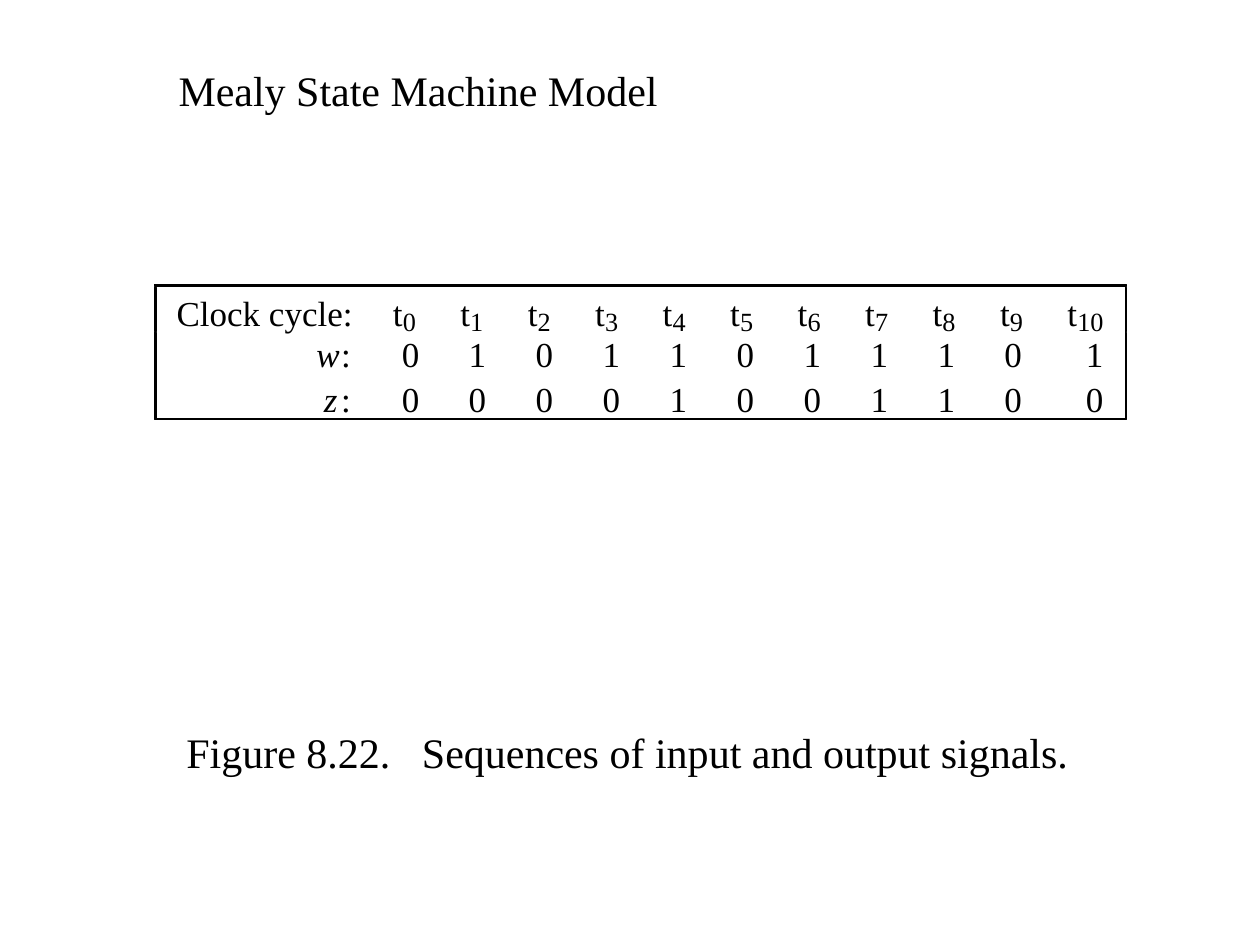
from pptx import Presentation
from pptx import util as u
from pptx.dml.color import RGBColor
from pptx.enum import shapes, text

BLACK = RGBColor(0, 0, 0)
FONT = "Times New Roman"
HEADING_SIZE, SYMBOL_SIZE, SUBSCRIPT_SIZE = 24, 20, 15

# Lengths in centimetres
RULE = 0.03
FRAME_LEFT, FRAME_RIGHT, FRAME_WIDTH = 3.12, 22.68, 19.58
FRAME_TOP, FRAME_BOTTOM = 5.74, 8.43
SIDE_SEGMENTS = [(5.79, 0.9), (6.71, 0.86), (7.54, 0.9)]
CLOCK_TOP, SUBSCRIPT_TOP = 5.87, 6.15
CLOCK_LEFT, SUBSCRIPT_LEFT, CLOCK_PITCH = 7.92, 8.12, 1.36
BIT_LEFT, BIT_PITCH, LAST_BIT_LEFT = 8.1, 1.35, 21.89
COLON_LEFT = 6.88
SYMBOL_HEIGHT, SUBSCRIPT_HEIGHT = 0.84, 0.64

# Signal name, its left, its width, row top, value in each clock cycle
SIGNALS = [
    ("w", 6.38, 0.66, 6.71, "01011011101"),
    ("z", 6.53, 0.46, 7.62, "00001001100"),
]


def add_run(paragraph, words, size, italic=False):
    run = paragraph.add_run()
    run.text = words
    run.font.name = FONT
    run.font.size = u.Pt(size)
    run.font.italic = italic
    run.font.color.rgb = BLACK
    return run


def add_heading(slide, left, top, width, height):
    frame = slide.shapes.add_textbox(
        u.Cm(left), u.Cm(top), u.Cm(width), u.Cm(height)).text_frame
    frame.word_wrap = True
    return frame


def add_label(slide, words, left, top, width, size=SYMBOL_SIZE,
              height=SYMBOL_HEIGHT, italic=False):
    frame = slide.shapes.add_textbox(
        u.Cm(left), u.Cm(top), u.Cm(width), u.Cm(height)).text_frame
    frame.margin_left = frame.margin_right = 0
    frame.margin_top = frame.margin_bottom = 0
    frame.word_wrap = False
    frame.auto_size = text.MSO_AUTO_SIZE.SHAPE_TO_FIT_TEXT
    add_run(frame.paragraphs[0], words, size, italic)


def add_rule(slide, left, top, width, height):
    rule = slide.shapes.add_shape(
        shapes.MSO_SHAPE.RECTANGLE,
        u.Cm(left), u.Cm(top), u.Cm(width), u.Cm(height))
    rule.shadow.inherit = False
    rule.fill.solid()
    rule.fill.fore_color.rgb = BLACK
    rule.line.color.rgb = BLACK
    rule.line.width = u.Pt(0.5)


def add_frame(slide):
    for top in (FRAME_TOP, FRAME_BOTTOM):
        add_rule(slide, FRAME_LEFT, top, FRAME_WIDTH, RULE)
    for left in (FRAME_LEFT, FRAME_RIGHT):
        for top, height in SIDE_SEGMENTS:
            add_rule(slide, left, top, RULE, height)


def add_clock_row(slide, cycles):
    add_label(slide, "Clock cycle:", 3.56, CLOCK_TOP, 3.73)
    for cycle in range(cycles):
        shift = cycle * CLOCK_PITCH
        index = str(cycle)
        add_label(slide, "t", CLOCK_LEFT + shift, CLOCK_TOP, 0.38)
        add_label(slide, index, SUBSCRIPT_LEFT + shift, SUBSCRIPT_TOP,
                  0.41 if len(index) == 1 else 0.53,
                  SUBSCRIPT_SIZE, SUBSCRIPT_HEIGHT)


def add_signal_row(slide, name, left, width, top, bits):
    add_label(slide, name, left, top, width, italic=True)
    add_label(slide, ":", COLON_LEFT, top, 0.38)
    for cycle, bit in enumerate(bits[:-1]):
        add_label(slide, bit, BIT_LEFT + cycle * BIT_PITCH, top, 0.53)
    # The last value lines up with the two-digit subscript
    add_label(slide, bits[-1], LAST_BIT_LEFT, top, 0.53)


def main():
    deck = Presentation()
    deck.slide_width, deck.slide_height = u.Cm(25.4), u.Cm(19.05)
    slide = deck.slides.add_slide(deck.slide_layouts[6])

    # Caption, with a widened space after the figure number
    caption = add_heading(slide, 1.14, 14.53, 23.01, 1.75).paragraphs[0]
    caption.alignment = text.PP_ALIGN.CENTER
    add_run(caption, "Figure 8.22.", HEADING_SIZE)
    gap = add_run(caption, " ", HEADING_SIZE)
    gap.font._element.set("spc", "1200")
    add_run(caption, "Sequences of input and output signals.", HEADING_SIZE)

    # Framed timing sequences
    add_frame(slide)
    add_clock_row(slide, len(SIGNALS[0][-1]))
    for signal in SIGNALS:
        add_signal_row(slide, *signal)

    # Title
    title = add_heading(slide, 3.35, 1.17, 20.57, 1.27)
    title.auto_size = text.MSO_AUTO_SIZE.SHAPE_TO_FIT_TEXT
    add_run(title.paragraphs[0], "Mealy State Machine Model", HEADING_SIZE)

    deck.save("out.pptx")


if __name__ == "__main__":
    main()
